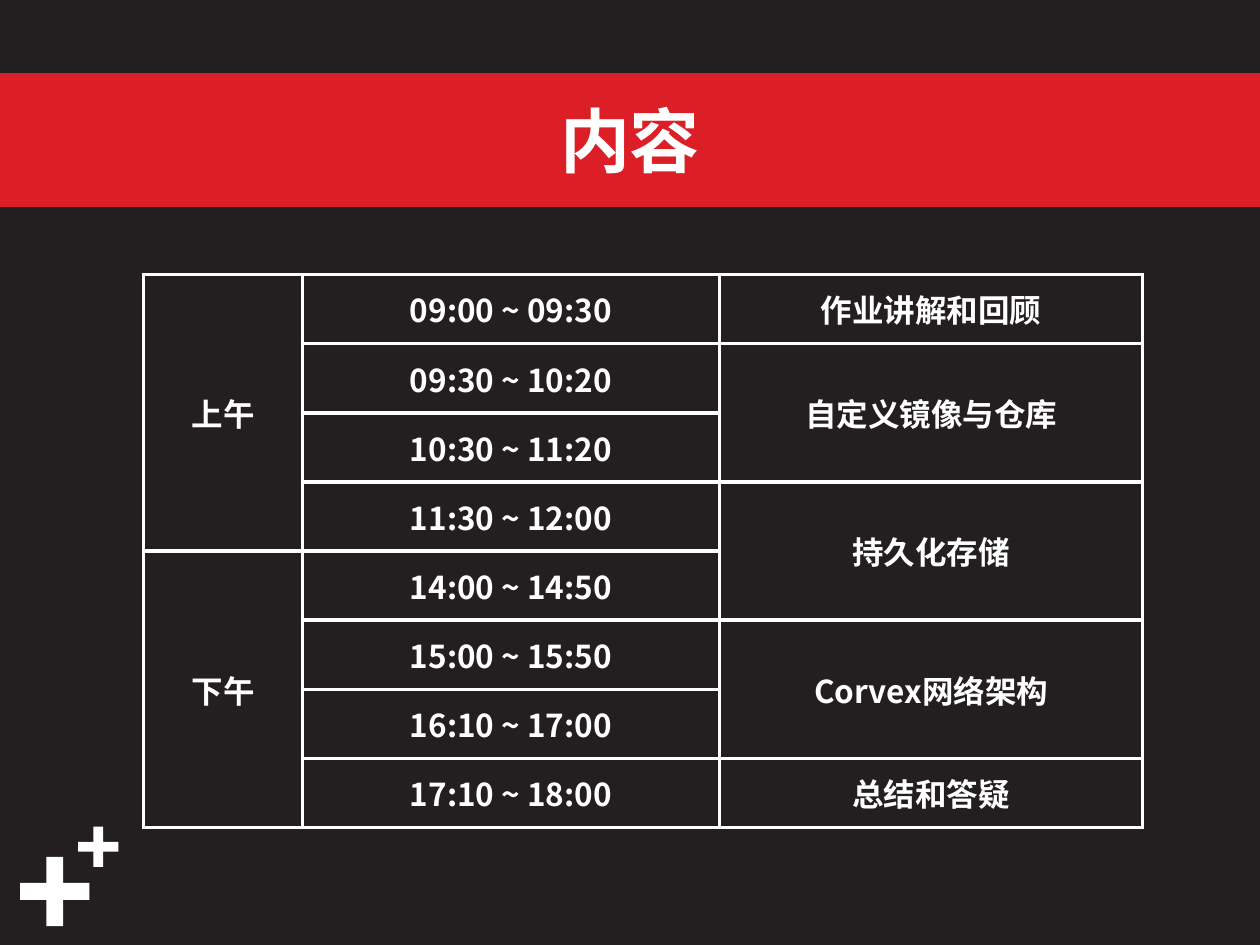
from dataclasses import dataclass

from lxml import etree
from pptx import Presentation
from pptx.dml.color import RGBColor
from pptx.enum import shapes, text
from pptx.oxml import ns
from pptx.util import Inches, Pt

FONT = "Noto Sans CJK SC"
DARK, RED, WHITE = "231F20", "DC1F26", "FFFFFF"


@dataclass
class Plus:
    left: float
    top: float
    size: float


@dataclass
class Entry:
    """A table text starting at a row and spanning some rows of a column."""
    column: int
    row: int
    span: int
    label: str


def colour(value: str) -> RGBColor:
    return RGBColor.from_string(value)


def write(frame, label: str, size: float) -> None:
    paragraph = frame.paragraphs[0]
    paragraph.alignment = text.PP_ALIGN.CENTER
    run = paragraph.add_run()
    run.text = label
    run.font.name, run.font.size, run.font.bold = FONT, Pt(size), True
    run.font.color.rgb = colour(WHITE)
    east_asian = etree.SubElement(run.font._element, ns.qn("a:ea"))
    east_asian.set("typeface", FONT)


def add_block(slide, kind, left: float, top: float, width: float, height: float, fill: str):
    block = slide.shapes.add_shape(kind, Inches(left), Inches(top), Inches(width), Inches(height))
    block.shadow.inherit = False
    block.fill.solid()
    block.fill.fore_color.rgb = colour(fill)
    block.line.fill.background()
    return block


def add_plus(slide, plus: Plus) -> None:
    cross = add_block(slide, shapes.MSO_SHAPE.CROSS, plus.left, plus.top, plus.size, plus.size, WHITE)
    cross.adjustments[0] = 0.378


def outline(cell, value: str, points: float) -> None:
    properties = cell._tc.get_or_add_tcPr()
    for side in ("lnL", "lnR", "lnT", "lnB"):
        line = etree.SubElement(properties, ns.qn(f"a:{side}"), w=str(Pt(points)))
        fill = etree.SubElement(line, ns.qn("a:solidFill"))
        etree.SubElement(fill, ns.qn("a:srgbClr"), val=value)


deck = Presentation()
deck.slide_width, deck.slide_height = Inches(10), Inches(7.5)
slide = deck.slides.add_slide(deck.slide_layouts[6])
slide.background.fill.solid()
slide.background.fill.fore_color.rgb = colour(DARK)

# Corner decoration
for plus in (Plus(0.16, 6.8, 0.55), Plus(0.62, 6.56, 0.32)):
    add_plus(slide, plus)

# Title band
band = add_block(slide, shapes.MSO_SHAPE.RECTANGLE, 0, 0.6, 10, 1.02, RED)
band.line.color.rgb = colour(RED)
band.line.width = Pt(3)
band.text_frame.vertical_anchor = text.MSO_ANCHOR.MIDDLE
write(band.text_frame, "内容", 40)

# Timetable
times = ["09:00 ~ 09:30", "09:30 ~ 10:20", "10:30 ~ 11:20", "11:30 ~ 12:00",
         "14:00 ~ 14:50", "15:00 ~ 15:50", "16:10 ~ 17:00", "17:10 ~ 18:00"]
entries = [
    Entry(0, 0, 4, "上午"),
    Entry(0, 4, 4, "下午"),
    *(Entry(1, row, 1, time) for row, time in enumerate(times)),
    Entry(2, 0, 1, "作业讲解和回顾"),
    Entry(2, 1, 2, "自定义镜像与仓库"),
    Entry(2, 3, 2, "持久化存储"),
    Entry(2, 5, 2, "Corvex网络架构"),
    Entry(2, 7, 1, "总结和答疑"),
]
widths = [1.26, 3.31, 3.36]
timetable = slide.shapes.add_table(
    len(times), len(widths), Inches(1.14), Inches(2.18), Inches(sum(widths)), Inches(4.39)).table
timetable.first_row = timetable.horz_banding = False
for column, width in zip(timetable.columns, widths):
    column.width = Inches(width)
for cell in timetable.iter_cells():
    outline(cell, WHITE, 2.25)
    cell.fill.background()
for entry in entries:
    cell = timetable.cell(entry.row, entry.column)
    if entry.span > 1:
        cell.merge(timetable.cell(entry.row + entry.span - 1, entry.column))
    cell.vertical_anchor = text.MSO_ANCHOR.MIDDLE
    write(cell.text_frame, entry.label, 18)

deck.save("out.pptx")
